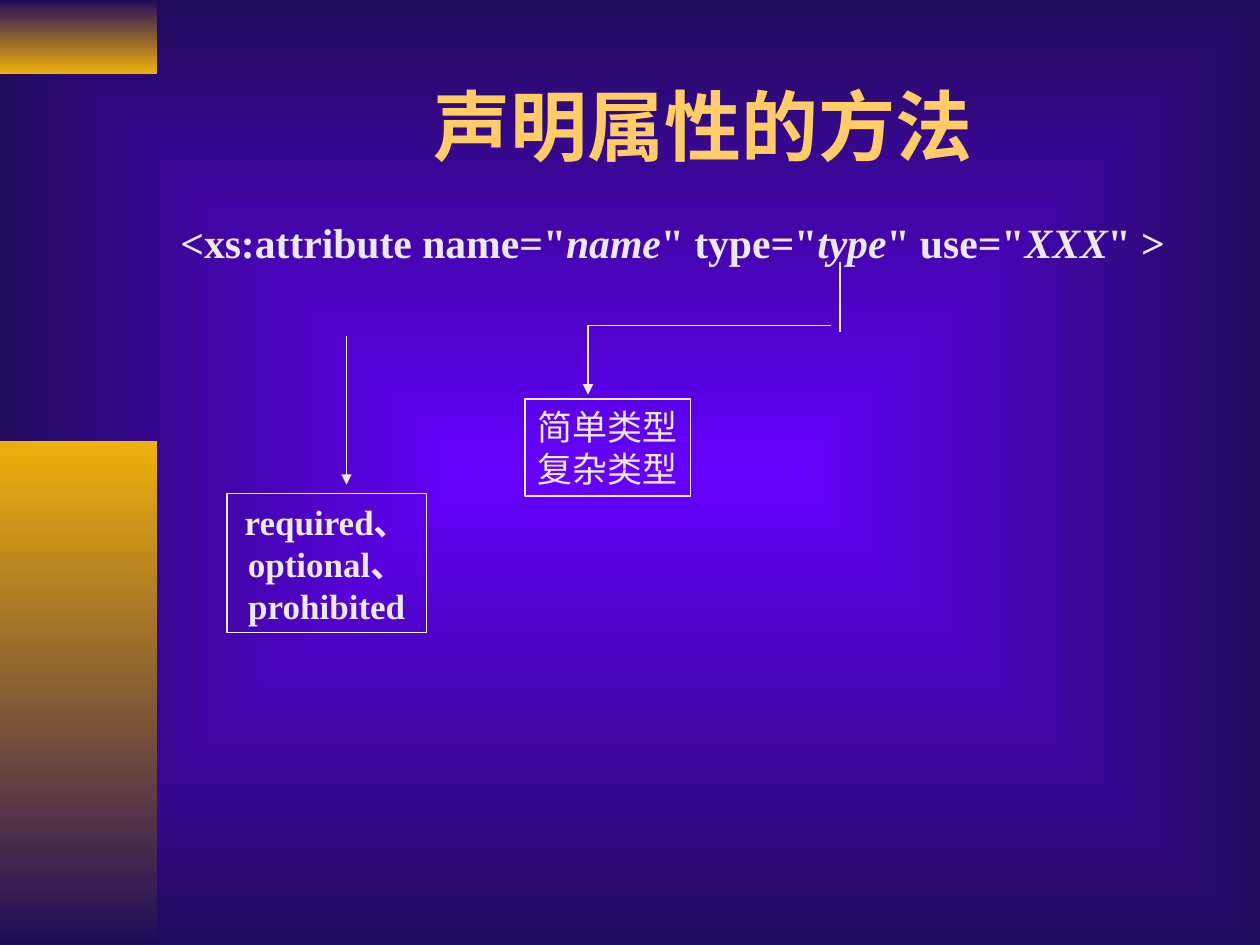
import dataclasses

import lxml.etree
import pptx
import pptx.dml.color
import pptx.enum.shapes
import pptx.enum.text
import pptx.oxml.ns
import pptx.util

Pt = pptx.util.Pt
RGB = pptx.dml.color.RGBColor.from_string
qn = pptx.oxml.ns.qn
ALIGN = pptx.enum.text.PP_ALIGN
MIDDLE = pptx.enum.text.MSO_ANCHOR.MIDDLE


@dataclasses.dataclass(frozen=True)
class Theme:
    font: str = "Times New Roman"
    glow: str = "6600FF"
    night: str = "200B5B"
    gold: str = "EEB00B"
    heading: str = "FFCC66"
    text: str = "EAEAEA"
    heading_size: float = 44
    code_size: float = 23.8
    note_size: float = 20
    line_width: float = 0.75


class SlideBuilder:
    def __init__(self, slide, theme):
        self.slide = slide
        self.theme = theme

    def style(self, paragraph, size, color, bold=False, align=None):
        font = paragraph.font
        font.name, font.size, font.bold = self.theme.font, Pt(size), bold
        font.color.rgb = RGB(color)
        paragraph.alignment = align

    def gradient(self, fill, start, end):
        fill.gradient()
        for stop, color in zip(fill.gradient_stops, (start, end)):
            stop.color.rgb = RGB(color)

    def background(self, center, edge):
        self.gradient(self.slide.background.fill, center, edge)
        linear = self.slide.element.find(".//" + qn("a:lin"))
        path = lxml.etree.Element(qn("a:path"), path="rect")
        lxml.etree.SubElement(path, qn("a:fillToRect"),
                              dict.fromkeys("ltrb", "50000"))
        linear.getparent().replace(linear, path)

    def rectangle(self, left, top, width, height):
        shape = self.slide.shapes.add_shape(
            pptx.enum.shapes.MSO_SHAPE.RECTANGLE,
            Pt(left), Pt(top), Pt(width), Pt(height))
        shape.shadow.inherit = False
        return shape

    def band(self, top, height, start, end):
        band = self.rectangle(0, top, 90, height)
        self.gradient(band.fill, start, end)
        band.fill.gradient_angle = 270
        band.line.fill.background()

    def title(self, text, left, top, width, height):
        title = self.slide.shapes.title
        title.left, title.top = Pt(left), Pt(top)
        title.width, title.height = Pt(width), Pt(height)
        title.text_frame.text = text
        title.text_frame.vertical_anchor = MIDDLE
        self.style(title.text_frame.paragraphs[0], self.theme.heading_size,
                   self.theme.heading, True, ALIGN.CENTER)

    def code(self, parts, left, top, width, height):
        """Write one line in which every second part is italic."""
        box = self.slide.shapes.add_textbox(
            Pt(left), Pt(top), Pt(width), Pt(height))
        box.text_frame.word_wrap = True
        line = box.text_frame.paragraphs[0]
        self.style(line, self.theme.code_size, self.theme.text, True)
        line.line_spacing = 0.8
        line.space_before = Pt(7)
        for index, part in enumerate(parts):
            run = line.add_run()
            run.text = part
            run.font.italic = index % 2 == 1

    def note(self, lines, left, top, width, height, bold=False):
        note = self.rectangle(left, top, width, height)
        note.fill.background()
        note.line.color.rgb = RGB(self.theme.text)
        note.line.width = Pt(self.theme.line_width)
        frame = note.text_frame
        frame.text = "\n".join(lines)
        frame.word_wrap = False
        frame.auto_size = pptx.enum.text.MSO_AUTO_SIZE.SHAPE_TO_FIT_TEXT
        frame.vertical_anchor = MIDDLE
        for paragraph in frame.paragraphs:
            self.style(paragraph, self.theme.note_size, self.theme.text,
                       bold, ALIGN.CENTER)

    def line(self, start, end, arrow=False):
        line = self.slide.shapes.add_connector(
            pptx.enum.shapes.MSO_CONNECTOR.STRAIGHT,
            *(Pt(value) for value in (*start, *end)))
        line.line.color.rgb = RGB(self.theme.text)
        line.line.width = Pt(self.theme.line_width)
        if arrow:
            lxml.etree.SubElement(line.line._get_or_add_ln(),
                                  qn("a:tailEnd"), type="triangle")
        lxml.etree.SubElement(line._element.spPr, qn("a:effectLst"))


def main():
    deck = pptx.Presentation()
    deck.slide_width, deck.slide_height = Pt(720), Pt(540)
    theme = Theme()
    builder = SlideBuilder(deck.slides.add_slide(deck.slide_layouts[5]), theme)

    # Backdrop and side bands
    builder.background(theme.glow, theme.night)
    builder.band(0, 42, theme.night, theme.gold)
    builder.band(252, 288, theme.gold, theme.night)

    # Heading and attribute syntax
    builder.title("声明属性的方法", 96, 24, 612, 95)
    builder.code(['<xs:attribute name="', "name", '" type="', "type",
                  '" use="', "XXX", '" >'], 96, 126, 612, 37.5)

    # Allowed values of use
    builder.line((198, 192), (198, 277), arrow=True)
    builder.note(["required、", "optional、", "prohibited"],
                 129.75, 282, 114, 79.5, bold=True)

    # Allowed values of type
    builder.note(["简单类型", "复杂类型"], 300, 228, 94.5, 55.5)
    builder.line((480, 150), (480, 190))
    builder.line((336, 186), (475, 186))
    builder.line((336, 186), (336, 225.5), arrow=True)

    deck.save("out.pptx")


if __name__ == "__main__":
    main()
